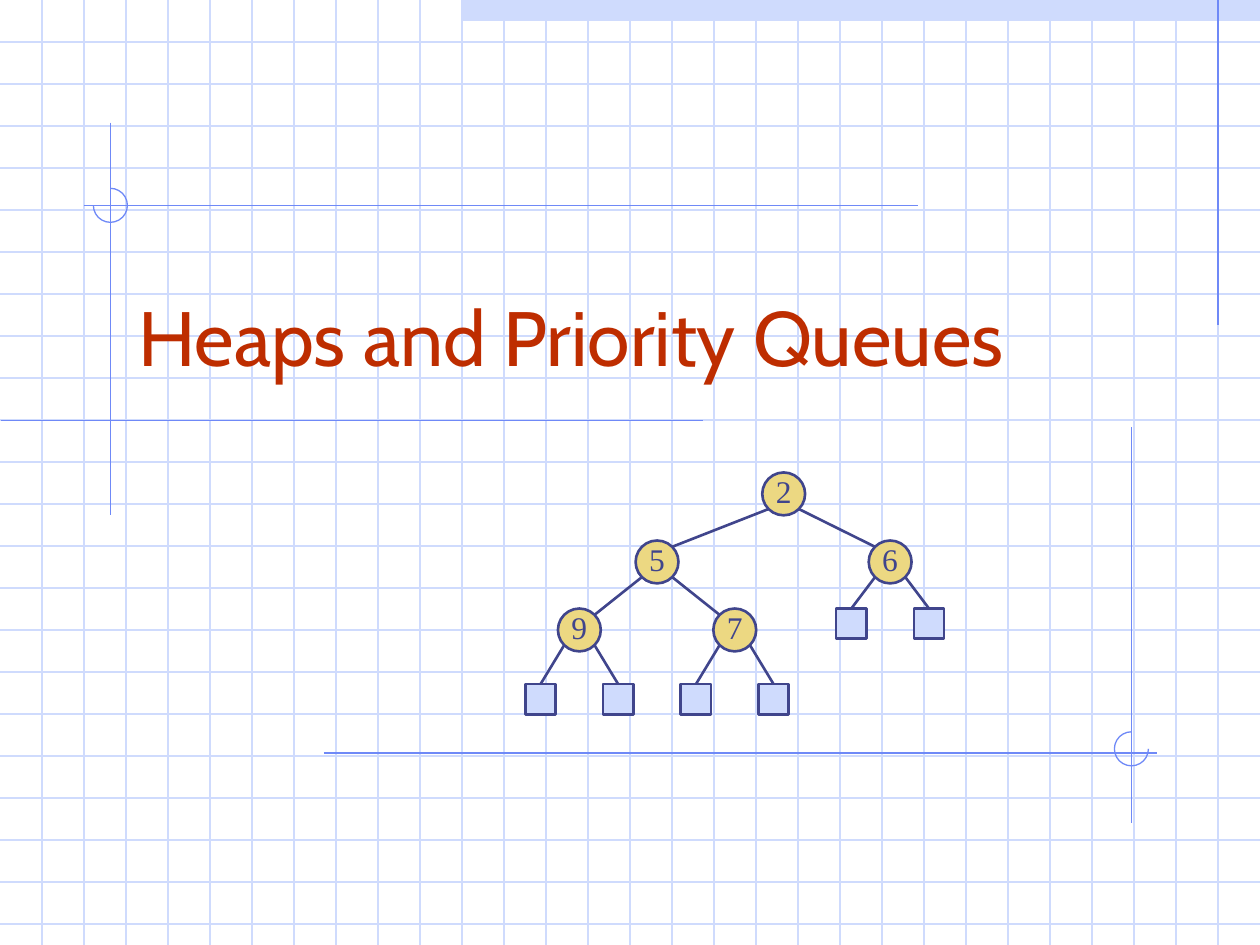
"""Build the title slide "Heaps and Priority Queues" on a squared-paper grid."""
from dataclasses import dataclass

from lxml import etree
from pptx import Presentation
from pptx import util as u
from pptx.dml.color import RGBColor
from pptx.enum import shapes, text
from pptx.oxml.ns import qn


@dataclass(frozen=True)
class Theme:
    """Colours, fonts, type sizes and line widths of the slide."""
    pale: str = "CFDBFD"
    guide: str = "6F89F7"
    title: str = "BE2D00"
    ink: str = "40458C"
    node: str = "ECD882"
    title_font: str = "Cabin"
    node_font: str = "Times New Roman"
    title_size: float = 44
    node_size: float = 18
    thin: float = 0.75
    thick: float = 1.5


@dataclass(frozen=True)
class Node:
    """A heap entry centred at a column and row; one without a label is a leaf."""
    column: float
    row: float
    label: str = ""
    children: tuple = ()


COLUMNS, ROWS = 30, 22.5
CELL = u.Inches(10) / COLUMNS
CIRCLE, SQUARE, CORNER = 1.02, 0.72, 0.36
LEAF_START, LEAF_STEP = 12.87, 1.85


def cells(count):
    """Turn a number of grid cells into a length."""
    return u.Emu(round(count * CELL))


def write_text(frame, words, *, font, size, color, anchor, align=text.PP_ALIGN.LEFT,
               insets=(0.1, 0.05, 0.1, 0.05), wrap=True):
    """Put one formatted paragraph into a text frame."""
    frame.word_wrap = wrap
    frame.vertical_anchor = anchor
    (frame.margin_left, frame.margin_top,
     frame.margin_right, frame.margin_bottom) = map(u.Inches, insets)
    paragraph = frame.paragraphs[0]
    paragraph.alignment = align
    run = paragraph.add_run()
    run.text = words
    run.font.name = font
    run.font.size = u.Pt(size)
    run.font.color.rgb = RGBColor.from_string(color)


class Canvas:
    """Draws elements on one slide in grid columns and rows."""

    def __init__(self, slide, theme):
        """Keep the slide and its theme."""
        self.slide = slide
        self.theme = theme

    def line(self, start, end, color, width):
        """Draw a straight line between two grid points."""
        connector = self.slide.shapes.add_connector(
            shapes.MSO_CONNECTOR.STRAIGHT, *map(cells, (*start, *end)))
        connector.line.color.rgb = RGBColor.from_string(color)
        connector.line.width = u.Pt(width)
        etree.SubElement(connector._element.spPr, qn("a:effectLst"))

    def guide(self, start, end):
        """Draw a construction line."""
        self.line(start, end, self.theme.guide, self.theme.thin)

    def shape(self, kind, left, top, width, height, fill=None, color=None, weight=1.5):
        """Draw a preset shape with optional fill and outline."""
        shape = self.slide.shapes.add_shape(kind, *map(cells, (left, top, width, height)))
        shape.shadow.inherit = False
        if fill:
            shape.fill.solid()
            shape.fill.fore_color.rgb = RGBColor.from_string(fill)
        else:
            shape.fill.background()
        if color:
            shape.line.color.rgb = RGBColor.from_string(color)
            shape.line.width = u.Pt(weight)
        else:
            shape.line.fill.background()
        return shape

    def arc(self, column, row, start, end, diameter=0.81):
        """Draw a clockwise arc around a grid point between two angles in degrees."""
        arc = self.shape(shapes.MSO_SHAPE.ARC, column - diameter / 2, row - diameter / 2,
                         diameter, diameter, color=self.theme.guide, weight=self.theme.thin)
        for index, angle in enumerate((start, end)):
            arc.adjustments[index] = angle * 0.6

    def paper(self):
        """Draw the squared paper and the band along its top edge."""
        pale, thin = self.theme.pale, self.theme.thin
        self.shape(shapes.MSO_SHAPE.RECTANGLE, 11, 0, 19, 0.5, fill=pale)
        for row in range(1, int(ROWS) + 1):
            self.line((0, row), (COLUMNS, row), pale, thin)
        for column in range(1, COLUMNS):
            self.line((column, 0), (column, ROWS), pale, thin)

    def title(self, words):
        """Write the slide title."""
        box = self.slide.shapes.add_textbox(*map(cells, (3, 5.5, 25.5, 3.75)))
        write_text(box.text_frame, words, font=self.theme.title_font,
                   size=self.theme.title_size, color=self.theme.title,
                   anchor=text.MSO_ANCHOR.BOTTOM)

    def node(self, node):
        """Draw a labelled circle or a leaf square."""
        theme = self.theme
        kind, side, fill = ((shapes.MSO_SHAPE.OVAL, CIRCLE, theme.node) if node.label
                            else (shapes.MSO_SHAPE.RECTANGLE, SQUARE, theme.pale))
        shape = self.shape(kind, node.column - side / 2, node.row - side / 2, side, side,
                           fill=fill, color=theme.ink, weight=theme.thick)
        if node.label:
            write_text(shape.text_frame, node.label, font=theme.node_font,
                       size=theme.node_size, color=theme.ink, wrap=False,
                       anchor=text.MSO_ANCHOR.MIDDLE, align=text.PP_ALIGN.CENTER,
                       insets=(0, 0, 0, 0.05))

    def tree(self, node):
        """Draw a node, its edges and all its descendants."""
        self.node(node)
        for child, side in zip(node.children, (-1, 1)):
            inward = side * CORNER if child.label else 0
            self.line((node.column + side * CORNER, node.row + CORNER),
                      (child.column - inward, child.row - CORNER),
                      self.theme.ink, self.theme.thick)
            self.tree(child)


def leaf_parent(label, row, first_leaf, leaf_row):
    """Make a node centred above two neighbouring leaves."""
    left = LEAF_START + first_leaf * LEAF_STEP
    leaves = Node(left, leaf_row), Node(left + LEAF_STEP, leaf_row)
    return Node(left + LEAF_STEP / 2, row, label, leaves)


def heap():
    """Return the example heap."""
    nine = leaf_parent("9", 15, 0, 16.65)
    seven = leaf_parent("7", 15, 2, 16.65)
    six = leaf_parent("6", 13.38, 4, 14.85)
    five = Node((nine.column + seven.column) / 2, 13.38, "5", (nine, seven))
    return Node(18.66, 11.76, "2", (five, six))


def main():
    """Build and save the presentation."""
    presentation = Presentation()
    presentation.slide_width, presentation.slide_height = cells(COLUMNS), cells(ROWS)
    slide = presentation.slides.add_slide(presentation.slide_layouts[6])
    canvas = Canvas(slide, Theme())
    canvas.paper()
    for start, end in (((29, 0), (29, 7.75)),
                       ((2.63, 2.92), (2.63, 12.27)),
                       ((0.02, 10.02), (16.74, 10.02)),
                       ((2, 4.89), (21.85, 4.89)),
                       ((7.71, 17.93), (27.54, 17.93)),
                       ((26.94, 10.17), (26.94, 19.6))):
        canvas.guide(start, end)
    canvas.arc(2.63, 4.89, 270, 180)
    canvas.arc(26.94, 17.83, 0, 270)
    canvas.title("Heaps and Priority Queues")
    canvas.tree(heap())
    presentation.save("out.pptx")


if __name__ == "__main__":
    main()
